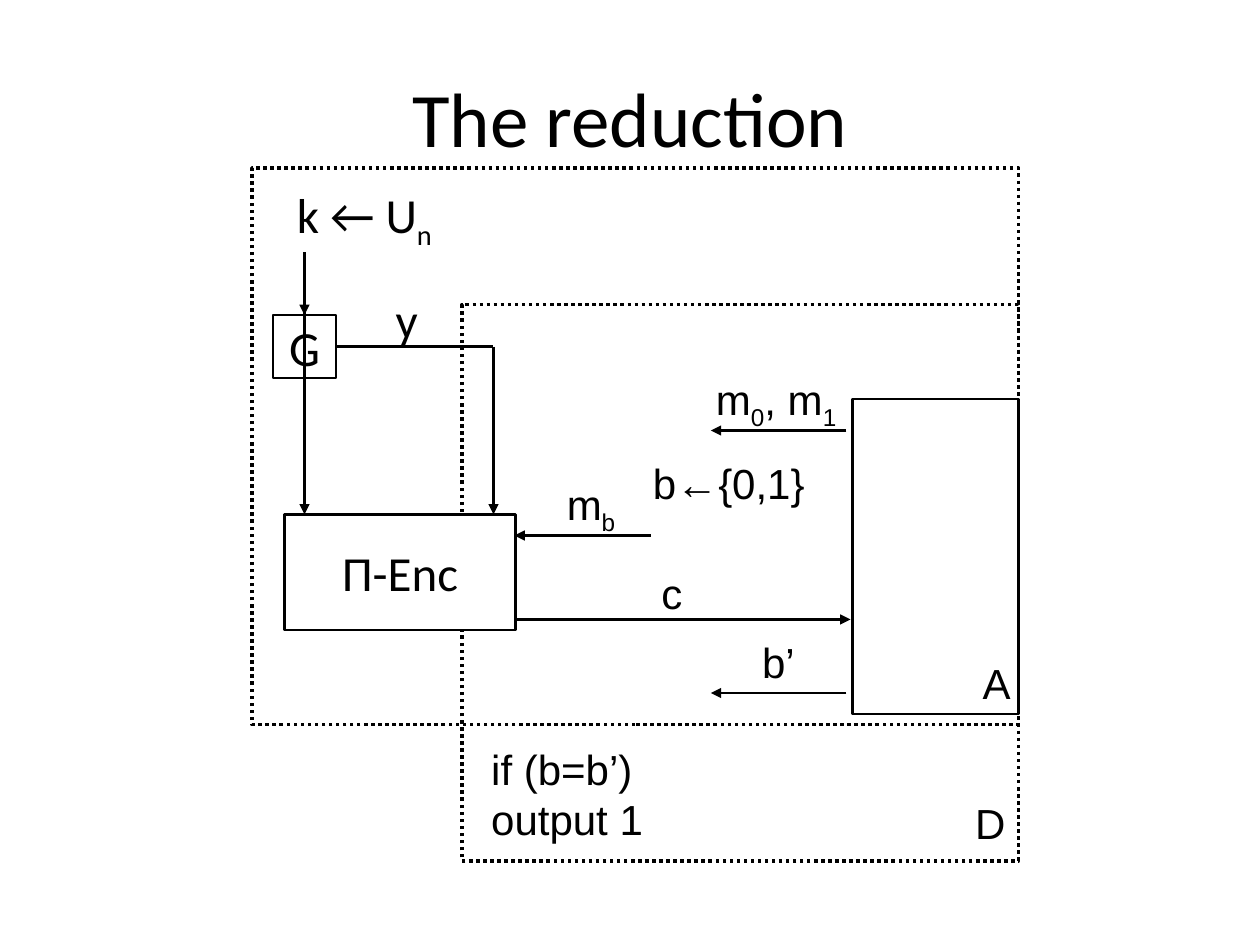
from lxml import etree
from pptx import Presentation
from pptx.dml.color import RGBColor
from pptx.enum.dml import MSO_LINE
from pptx.enum.shapes import MSO_CONNECTOR, MSO_SHAPE
from pptx.enum.text import MSO_ANCHOR, MSO_AUTO_SIZE, PP_ALIGN
from pptx.oxml.ns import qn
from pptx.util import Inches, Pt

BLACK = RGBColor(0, 0, 0)
WHITE = RGBColor(255, 255, 255)
DOTTED = MSO_LINE.ROUND_DOT
STRAIGHT = MSO_CONNECTOR.STRAIGHT
RECTANGLE = MSO_SHAPE.RECTANGLE
CENTER = PP_ALIGN.CENTER
MIDDLE = MSO_ANCHOR.MIDDLE
FIT = MSO_AUTO_SIZE.SHAPE_TO_FIT_TEXT
TOP, RIGHT = 0, 3

prs = Presentation()
prs.slide_width, prs.slide_height = Inches(10), Inches(7.5)
CELL = prs.slide_width // 120  # the grid has 120 columns and 90 rows
s = prs.slides.add_slide(prs.slide_layouts[5])


def write(tf, pieces, font, size):
    """Fill the first paragraph; every second piece is a subscript."""
    p = tf.paragraphs[0]
    p.text = pieces[0]
    for i, piece in enumerate(pieces[1:], 1):
        r = p.add_run()
        r.text = piece
        if i % 2:
            r.font._element.set("baseline", "-25000")
    p.font.name, p.font.size, p.font.color.rgb = font, Pt(size), BLACK
    return p


def add_line(x1, y1, x2, y2, arrow=True):
    ends = [round(v * CELL) for v in (x1, y1, x2, y2)]
    line = s.shapes.add_connector(STRAIGHT, *ends)
    line.line.color.rgb, line.line.width = BLACK, Pt(1.5)
    if arrow:
        ln = line.line._get_or_add_ln()
        etree.SubElement(ln, qn("a:tailEnd"), type="triangle")
    etree.SubElement(line._element.spPr, qn("a:effectLst"))
    return line


title = s.shapes.title
title.left, title.top = 6 * CELL, round(3.6 * CELL)
title.width, title.height = 108 * CELL, 15 * CELL
title.text_frame.vertical_anchor = MIDDLE
write(title.text_frame, ["The reduction"], "Calibri", 44).alignment = CENTER

# Boxes: column, row, width, height, text, dotted, filled
boxes = [
    (44, 29, 53, 53, "", True, False),
    (81.2, 38, 15.8, 30, "", False, False),
    (24, 16, 73, 53, "", True, False),
    (26, 30, 6, 6, "G", False, False),
    (27.1, 49, 22, 11, "Π-Enc", False, True),
]
box_by_text = {}
for x, y, w, h, text, dotted, filled in boxes:
    sp = s.shapes.add_shape(RECTANGLE, *(round(v * CELL) for v in (x, y, w, h)))
    sp.shadow.inherit = False
    sp.line.color.rgb, sp.line.width = BLACK, Pt(2 if dotted else 1.5)
    if dotted:
        sp.line.dash_style = DOTTED
    if filled:
        sp.fill.solid()
        sp.fill.fore_color.rgb = WHITE
    else:
        sp.fill.background()
    if text:
        sp.text_frame.vertical_anchor = MIDDLE
        write(sp.text_frame, [text], "Calibri", 28).alignment = CENTER
        box_by_text[text] = sp

# Key path: k into G, G's output y down to the encryption, and k directly
add_line(29, 24, 29, 30).end_connect(box_by_text["G"], TOP)
add_line(32, 33, 47, 33, arrow=False).begin_connect(box_by_text["G"], RIGHT)
add_line(47, 33, 47, 49)
add_line(29, 24, 29, 49)

# Messages between the encryption and the adversary
for x1, x2, y in [(80.6, 67.7, 41), (62, 49, 51), (49.1, 81, 59), (80.6, 67.7, 66)]:
    add_line(x1, y, x2, y)

# Labels: column, row, width, height, pieces, font, size
labels = [
    (27.1, 17, 16.1, 6.8, ["k ← U", "n"], "Calibri", 28),
    (36.5, 27, 4.6, 6.8, ["y"], "Calibri", 28),
    (67, 35, 14.3, 6, ["m", "0", ", m", "1"], "Arial", 24),
    (61, 43, 16.9, 6, ["b←{0,1}"], "Arial", 24),
    (52.8, 45, 7.2, 6, ["m", "b"], "Arial", 24),
    (61.8, 53.5, 4.4, 6, ["c"], "Arial", 24),
    (71.4, 60, 5.5, 6, ["b’"], "Arial", 24),
    (92.4, 62, 5.2, 6, ["A"], "Arial", 24),
    (45.6, 70.2, 16.9, 10.8, ["if (b=b’)\voutput 1"], "Arial", 24),
    (91.7, 75.4, 5.3, 6.6, ["D"], "Arial", 24),
]
for x, y, w, h, pieces, font, size in labels:
    sp = s.shapes.add_textbox(*(round(v * CELL) for v in (x, y, w, h)))
    tf = sp.text_frame
    tf.word_wrap, tf.auto_size = False, FIT
    write(tf, pieces, font, size)

prs.save("out.pptx")
